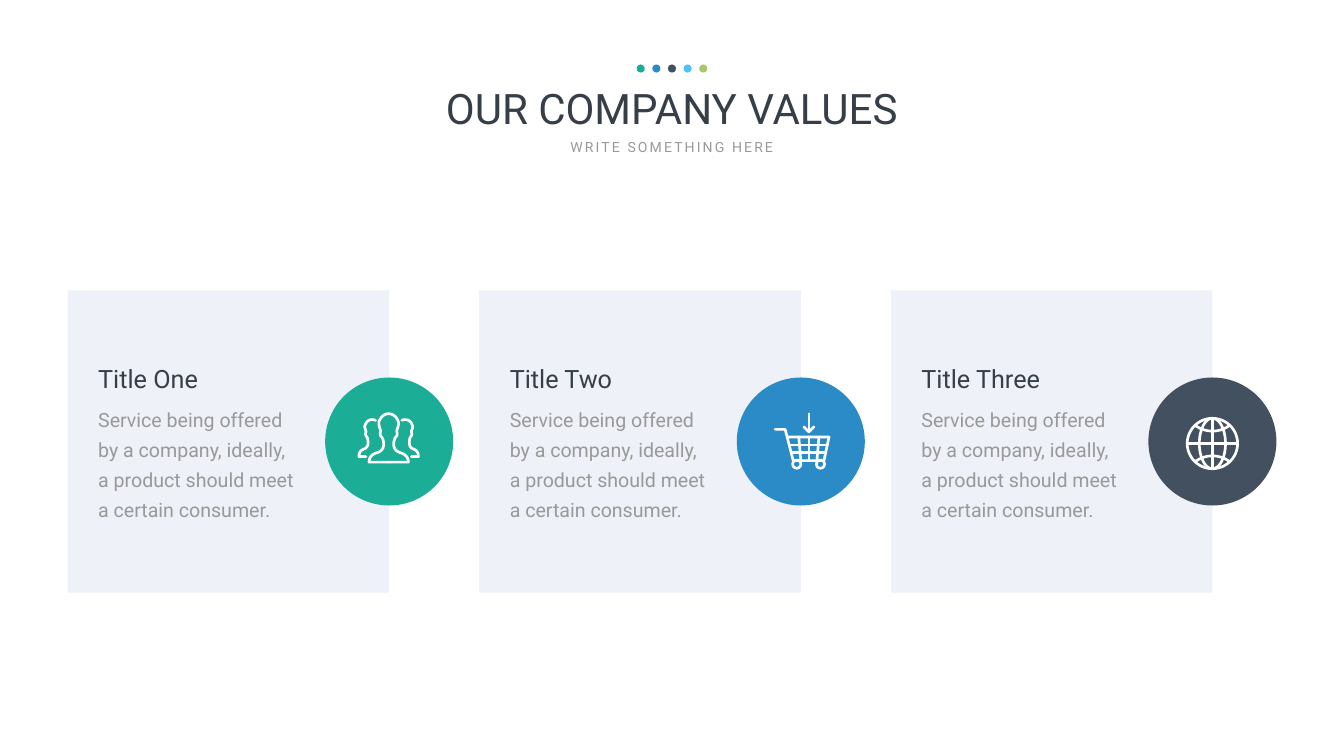
from math import cos, pi, sin

from pptx import Presentation
from pptx.dml.color import RGBColor
from pptx.enum.shapes import MSO_SHAPE
from pptx.enum.text import PP_ALIGN
from pptx.oxml.ns import qn
from pptx.util import Inches, Pt

GREEN = RGBColor(0x1C, 0xAD, 0x97)
BLUE = RGBColor(0x2B, 0x8B, 0xC7)
SLATE = RGBColor(0x42, 0x50, 0x60)
SKY = RGBColor(0x4E, 0xC2, 0xF4)
OLIVE = RGBColor(0xAA, 0xC4, 0x6F)
INK = RGBColor(0x36, 0x3E, 0x48)
GREY = RGBColor(0x99, 0x99, 0x99)
PANEL = RGBColor(0xEF, 0xF1, 0xF8)
WHITE = RGBColor(0xFF, 0xFF, 0xFF)

# Content
TITLE = "OUR COMPANY VALUES"
SUBTITLE = "WRITE SOMETHING HERE"
BODY = "Service being offered by a company, ideally, a product should meet a certain consumer."
CARDS = [("Title One", GREEN, "people"), ("Title Two", BLUE, "cart"), ("Title Three", SLATE, "globe")]
DOT_COLOURS = [GREEN, BLUE, SLATE, SKY, OLIVE]

# Half outlines of the people: a start point, then curves (6 numbers) or lines (2)
FRONT_PERSON = [
    (0, -.55), (-.08, -.55, -.15, -.5, -.19, -.4), (-.21, -.33, -.17, -.26, -.16, -.21),
    (-.18, -.13, -.16, -.11, -.15, -.1), (-.13, -.08, -.1, -.04, -.1, .06),
    (-.1, .16, -.17, .2, -.22, .22), (-.3, .24, -.39, .29, -.39, .41), (0, .41)]
SIDE_PERSON = [
    (-.26, -.42), (-.33, -.45, -.43, -.44, -.47, -.32), (-.49, -.27, -.45, -.23, -.45, -.19),
    (-.47, -.13, -.45, -.11, -.44, -.1), (-.42, -.08, -.41, -.04, -.41, .03),
    (-.41, .11, -.46, .14, -.49, .15), (-.55, .17, -.59, .21, -.59, .3), (-.45, .3)]
LATITUDE = [(-.33, -.35), (-.13, -.21, .13, -.21, .33, -.35)]


def trace(outline, steps=8):
    """Turn an outline of lines and cubic curves into points."""
    points = [outline[0]]
    for segment in outline[1:]:
        if len(segment) == 2:
            points.append(segment)
            continue
        controls = [points[-1], segment[:2], segment[2:4], segment[4:]]
        for step in range(1, steps + 1):
            t = step / steps
            weights = [(1 - t) ** 3, 3 * t * (1 - t) ** 2, 3 * t * t * (1 - t), t ** 3]
            points.append(tuple(sum(weight * control[axis] for weight, control in zip(weights, controls))
                                for axis in (0, 1)))
    return points


def mirror(points, x_sign=-1, y_sign=1):
    return [(x * x_sign, y * y_sign) for x, y in points]


def ring(x, y, radius_x, radius_y, steps=48):
    angles = [2 * pi * step / steps for step in range(steps + 1)]
    return [(x + radius_x * cos(angle), y + radius_y * sin(angle)) for angle in angles]


front, side, latitude = trace(FRONT_PERSON), trace(SIDE_PERSON), trace(LATITUDE)
cart_rib = [(-.2, -.09), (-.16, .38)]

# Icons: offset from the circle centre, and strokes around that point
ICONS = {
    "people": ((-.01, 0), [front, mirror(front), side, mirror(side)]),
    "cart": ((.16, 0), [
        [(-.67, -.24), (-.47, -.24), (-.31, .38), (.3, .38), (.4, -.09), (-.41, -.09)],
        [(-.37, .07), (.37, .07)], [(-.33, .22), (.33, .22)],
        cart_rib, [(0, -.09), (0, .38)], mirror(cart_rib),
        [(0, -.55), (0, -.19)], [(-.1, -.29), (0, -.19), (.1, -.29)],
        ring(-.24, .45, .08, .08), ring(.23, .45, .08, .08)]),
    "globe": ((0, .04), [
        [(0, -.5), (0, .5)], [(-.5, 0), (.5, 0)], latitude, mirror(latitude, 1, -1),
        ring(0, 0, .5, .5), ring(0, 0, .26, .5)]),
}

presentation = Presentation()
presentation.slide_width, presentation.slide_height = Inches(26.66), Inches(15)
slide = presentation.slides.add_slide(presentation.slide_layouts[6])
slide.background.fill.solid()
slide.background.fill.fore_color.rgb = WHITE


def add_filled(kind, left, top, width, height, colour):
    shape = slide.shapes.add_shape(kind, Inches(left), Inches(top), Inches(width), Inches(height))
    shape.shadow.inherit = False
    shape.fill.solid()
    shape.fill.fore_color.rgb = colour
    shape.line.fill.background()


def add_text(text, left, top, width, height, size, colour, align=PP_ALIGN.LEFT, wrap=True):
    box = slide.shapes.add_textbox(Inches(left), Inches(top), Inches(width), Inches(height))
    box.text_frame.word_wrap = wrap
    paragraph = box.text_frame.paragraphs[0]
    paragraph.text = text
    paragraph.alignment = align
    font = paragraph.runs[0].font
    font.name, font.size, font.color.rgb = "Roboto", Pt(size), colour
    return paragraph


def add_icon(name, centre_x, centre_y):
    """Draw all strokes of an icon as one white outline."""
    (offset_x, offset_y), strokes = ICONS[name]
    builder = None
    for stroke in strokes:
        places = [(Inches(centre_x + offset_x + x), Inches(centre_y + offset_y + y)) for x, y in stroke]
        if builder is None:
            builder = slide.shapes.build_freeform(*places[0])
        else:
            builder.move_to(*places[0])
        builder.add_line_segments(places[1:], close=False)
    shape = builder.convert_to_shape()
    shape.shadow.inherit = False
    shape.fill.background()
    shape.line.color.rgb = WHITE
    shape.line.width = Pt(3.8)
    shape._element.spPr.find(qn("a:ln")).set("cap", "rnd")


# Heading
add_text(TITLE, 7.7, 1.59, 11.25, 1.11, 60, INK, PP_ALIGN.CENTER)
subtitle = add_text(SUBTITLE, 11.15, 2.7, 4.35, .44, 20, GREY, PP_ALIGN.CENTER, wrap=False)
subtitle.runs[0]._r.get_or_add_rPr().set("spc", "300")
for index, colour in enumerate(DOT_COLOURS):
    add_filled(MSO_SHAPE.OVAL, 12.63 + .31 * index, 1.28, .16, .16, colour)

# Cards, each with a circle centred on its right edge
FIRST_LEFT, LAST_LEFT = 1.34, 17.67
CARD_TOP, CARD_WIDTH, CARD_HEIGHT = 5.76, 6.38, 6
CIRCLE = 2.54
pitch = (LAST_LEFT - FIRST_LEFT) / (len(CARDS) - 1)
for index, (title, colour, icon_name) in enumerate(CARDS):
    left = FIRST_LEFT + index * pitch
    centre_x, centre_y = left + CARD_WIDTH, CARD_TOP + CARD_HEIGHT / 2
    add_filled(MSO_SHAPE.RECTANGLE, left, CARD_TOP, CARD_WIDTH, CARD_HEIGHT, PANEL)
    add_filled(MSO_SHAPE.OVAL, centre_x - CIRCLE / 2, centre_y - CIRCLE / 2, CIRCLE, CIRCLE, colour)
    body = add_text(BODY, left + .51, 7.91, 4.1, 2.46, 28, GREY)
    body.line_spacing = Pt(43)
    add_text(title, left + .51, 7.15, 2.6, .71, 36, INK, wrap=False)
    add_icon(icon_name, centre_x, centre_y)

presentation.save("out.pptx")
